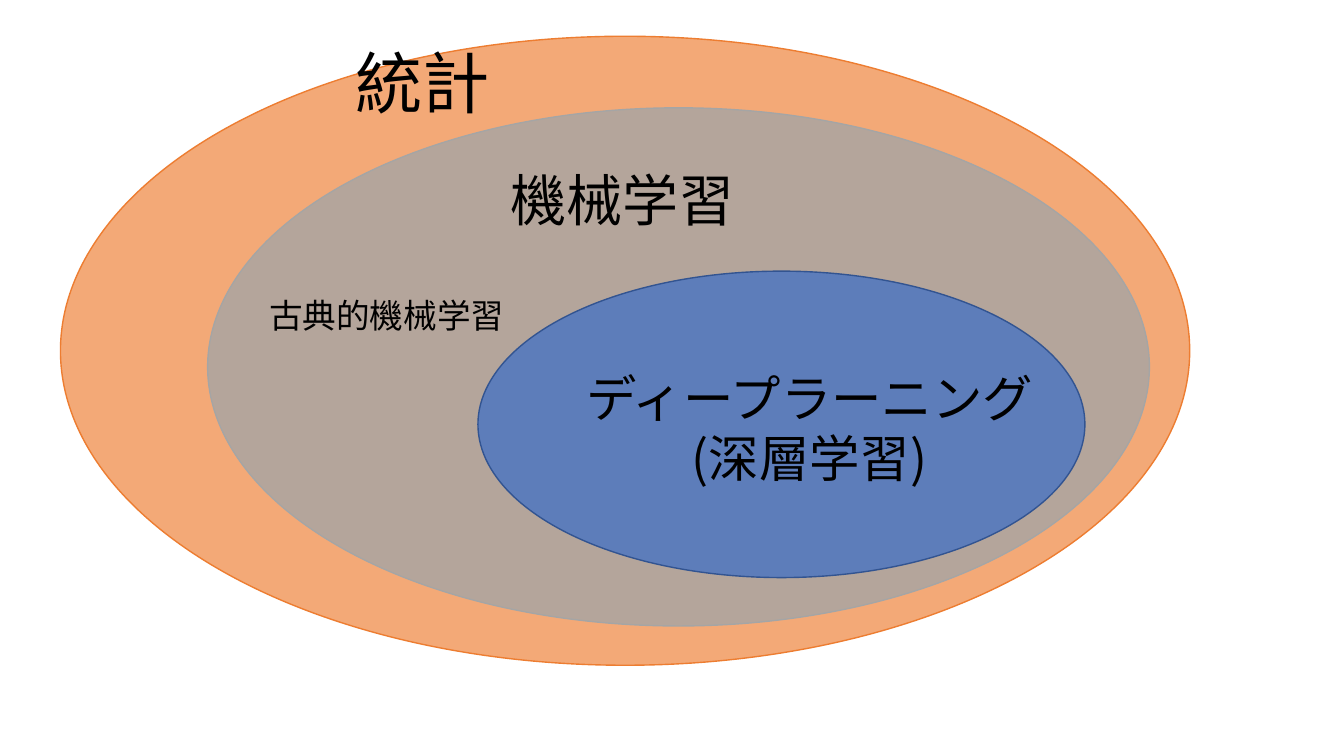
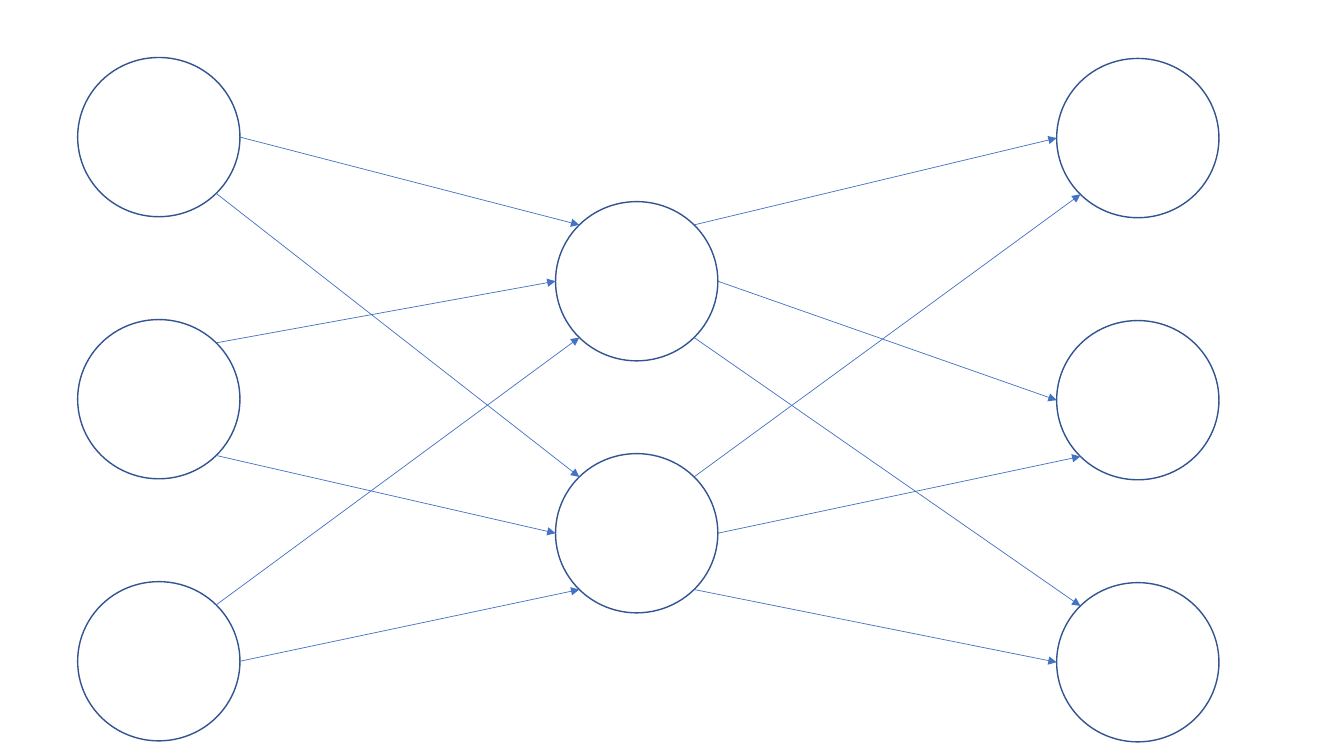
from dataclasses import dataclass
from math import cos, radians, sin

from lxml.etree import SubElement
from pptx import Presentation
from pptx.dml.color import RGBColor as Rgb
from pptx.enum.shapes import MSO_CONNECTOR as Connector, MSO_SHAPE as Shape
from pptx.enum.text import PP_ALIGN as Align
from pptx.oxml.ns import qn
from pptx.util import Inches, Pt


@dataclass(frozen=True)
class Theme:
    font: str = "Noto Sans CJK JP"
    text: str = "000000"
    orange: str = "ED7D31"
    gray: str = "A5A5A5"
    blue: str = "4472C4"
    navy: str = "325491"
    huge: int = 48
    large: int = 40
    medium: int = 36
    small: int = 24
    outline: float = 1
    arrow: float = 0.5


class Deck:
    def __init__(self, theme):
        self.theme = theme
        self.presentation = Presentation()
        self.presentation.slide_width = Inches(13.33)
        self.presentation.slide_height = Inches(7.5)
        self.page = None

    def add_page(self):
        blank = self.presentation.slide_layouts[6]
        self.page = self.presentation.slides.add_slide(blank)

    def add_ellipse(self, left, top, width, height, line, fill=None, opacity=100):
        ellipse = self.page.shapes.add_shape(
            Shape.OVAL, Inches(left), Inches(top), Inches(width), Inches(height))
        ellipse.shadow.inherit = False
        ellipse.line.color.rgb = Rgb.from_string(line)
        ellipse.line.width = Pt(self.theme.outline)
        if fill is None:
            ellipse.fill.background()
            return ellipse
        ellipse.fill.solid()
        ellipse.fill.fore_color.rgb = Rgb.from_string(fill)
        color = ellipse._element.spPr.find(qn("a:solidFill"))[0]
        SubElement(color, qn("a:alpha"), val=str(opacity * 1000))
        return ellipse

    def add_label(self, text, left, top, width, height, size, align=Align.LEFT):
        box = self.page.shapes.add_textbox(
            Inches(left), Inches(top), Inches(width), Inches(height))
        box.text_frame.word_wrap = True
        box.text_frame.text = text
        for para in box.text_frame.paragraphs:
            para.alignment = align
            for span in para.runs:
                span.font.size = Pt(size)
                span.font.name = self.theme.font
                span.font.color.rgb = Rgb.from_string(self.theme.text)
                SubElement(span.font._element, qn("a:ea"), typeface=self.theme.font)

    def add_arrow(self, source, source_site, target, target_site):
        arrow = self.page.shapes.add_connector(
            Connector.STRAIGHT,
            *site_point(source, source_site), *site_point(target, target_site))
        arrow.line.color.rgb = Rgb.from_string(self.theme.blue)
        arrow.line.width = Pt(self.theme.arrow)
        properties = arrow._element.spPr
        SubElement(properties.find(qn("a:ln")), qn("a:tailEnd"), type="triangle")
        SubElement(properties, qn("a:effectLst"))
        links = arrow._element.find(".//" + qn("p:cNvCxnSpPr"))
        ends = (("a:stCxn", source, source_site), ("a:endCxn", target, target_site))
        for tag, node, site in ends:
            SubElement(links, qn(tag), id=str(node.shape_id), idx=str(site))


def site_point(ellipse, site):
    angle = radians(90 + 45 * site)
    x = ellipse.left + ellipse.width / 2 * (1 + cos(angle))
    y = ellipse.top + ellipse.height / 2 * (1 - sin(angle))
    return round(x), round(y)


def build_learning_fields(deck):
    theme = deck.theme
    deck.add_page()
    deck.add_ellipse(0.6, 0.36, 11.2, 6.24, theme.orange, theme.orange, 66)
    deck.add_label("統計", 3.43, 0.36, 2.2, 0.91, theme.huge)
    deck.add_ellipse(2.06, 1.07, 9.34, 5.14, theme.gray, theme.gray, 80)
    deck.add_label("機械学習", 4.97, 1.59, 2.46, 0.77, theme.large)
    deck.add_ellipse(4.74, 2.69, 6.02, 3.04, theme.navy, theme.blue, 77)
    deck.add_label("ディープラーニング\n(深層学習)", 5.48, 3.59, 5.1, 1.31,
                   theme.medium, Align.CENTER)
    deck.add_label("古典的機械学習", 2.57, 2.88, 2.56, 0.5, theme.small)


def build_network(deck):
    upper_left, left, lower_left, lower_right, right, upper_right = 1, 2, 3, 5, 6, 7
    input_exits = ((right, lower_right), (upper_right, lower_right),
                   (upper_right, right))
    hidden_entries = (upper_left, left, lower_left)
    hidden_exits = (upper_right, right, lower_right)
    output_entries = ((left, lower_left), (left, lower_left), (upper_left, left))

    deck.add_page()

    def add_layer(x, top, pitch, count):
        return [deck.add_ellipse(x, top + pitch * row, 1.61, 1.58, deck.theme.navy)
                for row in range(count)]

    inputs = add_layer(0.77, 0.57, 2.6, 3)
    hidden = add_layer(5.51, 2, 2.5, 2)
    outputs = add_layer(10.48, 0.58, 2.6, 3)

    for node, exits, entry in zip(inputs, input_exits, hidden_entries):
        for target, exit_site in zip(hidden, exits):
            deck.add_arrow(node, exit_site, target, entry)
    for node, entries, exit_site in zip(outputs, output_entries, hidden_exits):
        for source, entry in zip(hidden, entries):
            deck.add_arrow(source, exit_site, node, entry)


def main():
    deck = Deck(Theme())
    build_learning_fields(deck)
    build_network(deck)
    deck.presentation.save("out.pptx")


if __name__ == "__main__":
    main()
